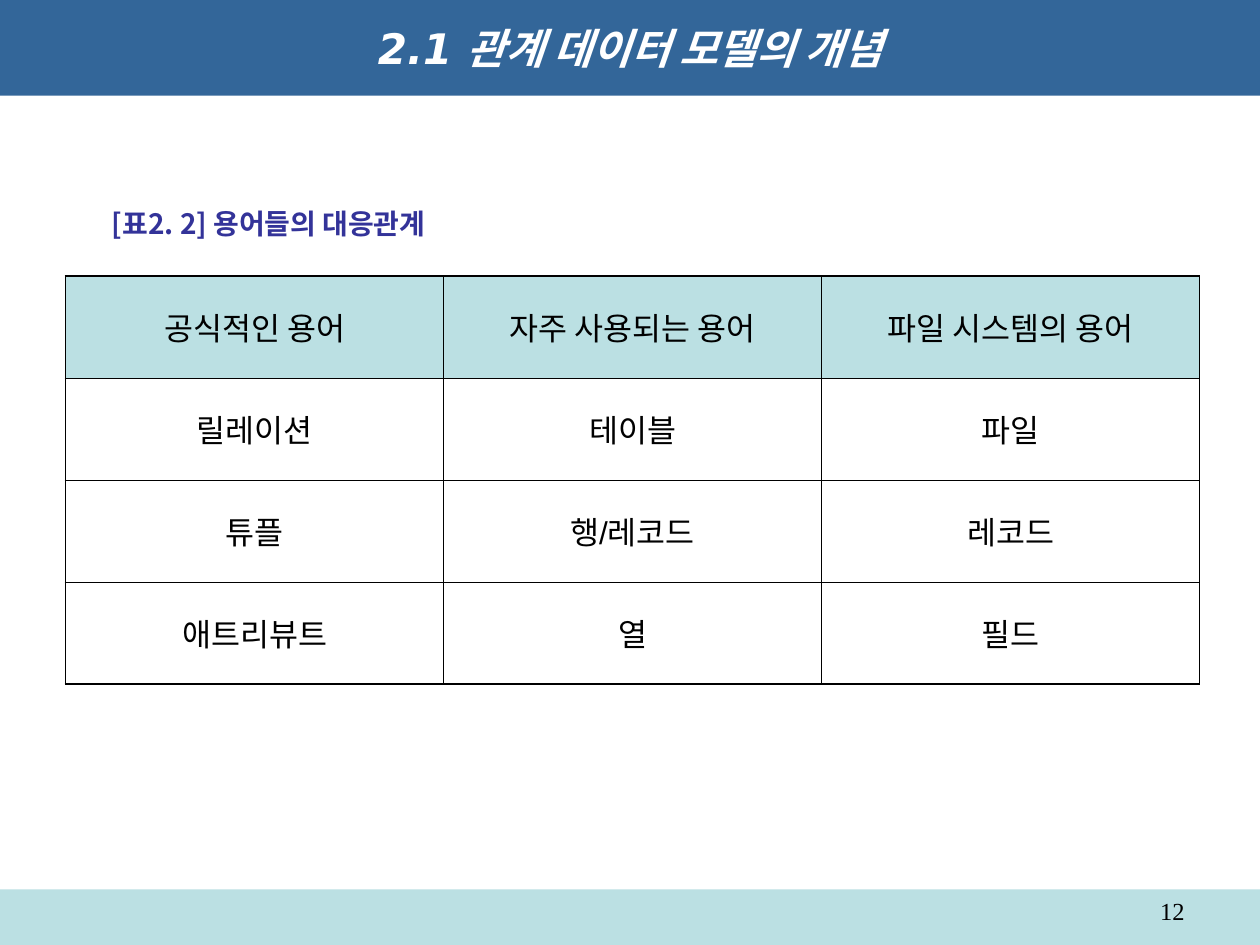
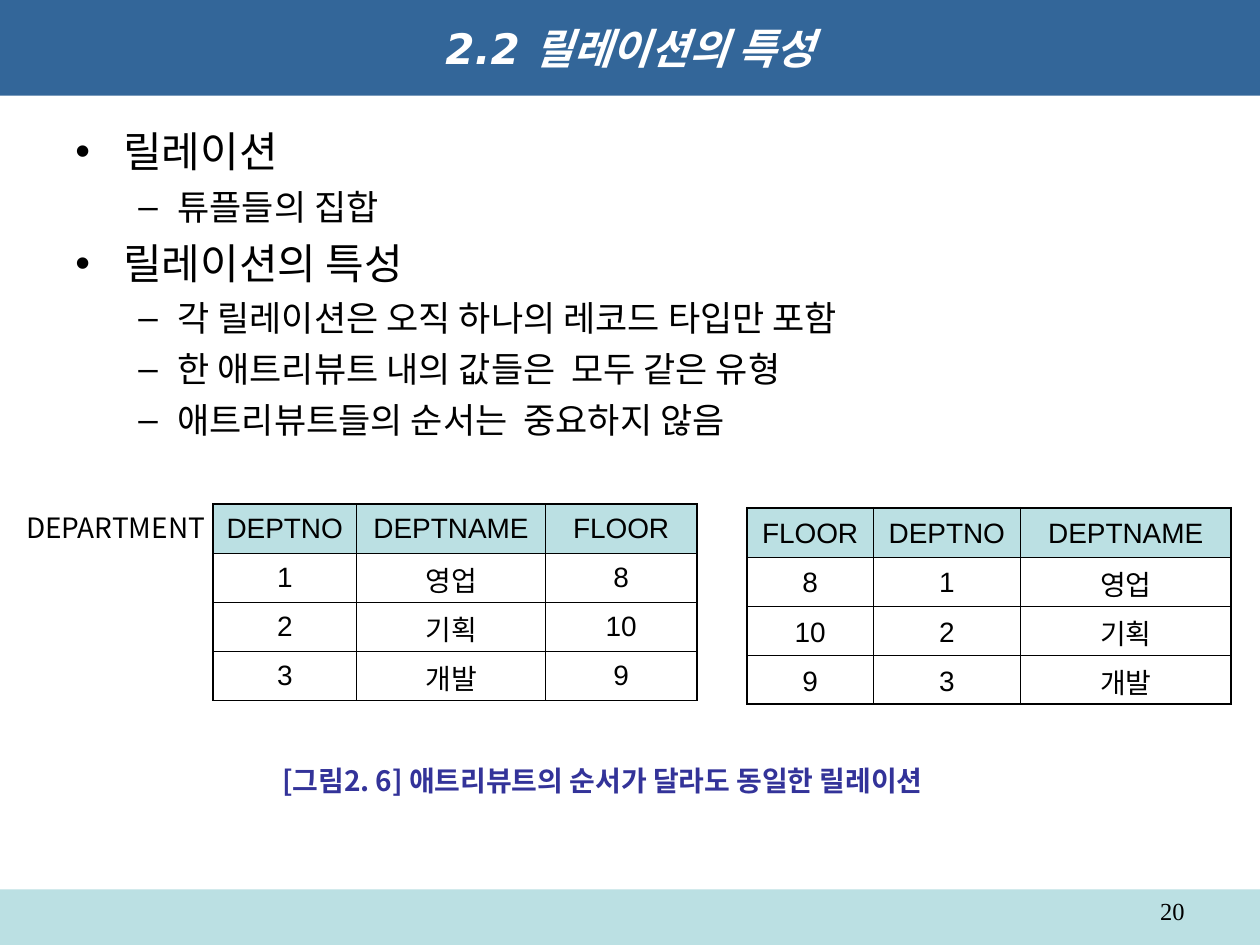
from lxml.etree import SubElement
from pptx import Presentation
from pptx.dml.color import RGBColor
from pptx.enum.shapes import MSO_SHAPE
from pptx.enum.text import MSO_ANCHOR, PP_ALIGN
from pptx.oxml.ns import qn
from pptx.util import Inches, Pt

HUES = {"band": "336699", "tint": "BBE0E3", "note": "333399",
        "ink": "000000", "page": "FFFFFF"}
WIDE, HIGH = 10, 7.5
HANGUL = "Noto Sans CJK KR"
THICK, THIN = 1.08, 0.45


def hue(name):
    return RGBColor.from_string(HUES[name])


def place(box):
    return [Inches(n) for n in box]


def paint(shape, name):
    shape.fill.solid()
    shape.fill.fore_color.rgb = hue(name)


def style(para, size, face="Arial", tone="ink", bold=False, slant=False):
    for run in para.runs:
        font = run.font
        font.size, font.name = Pt(size), face
        font.bold, font.italic = bold, slant
        font.color.rgb = hue(tone)
        SubElement(font._element, qn("a:ea"), typeface=HANGUL)


def label(slide, box, text, size, face, tone="ink", bold=False,
          align=PP_ALIGN.LEFT, wrap=True):
    frame = slide.shapes.add_textbox(*place(box)).text_frame
    frame.word_wrap = wrap
    frame.text = text
    para = frame.paragraphs[0]
    para.alignment = align
    style(para, size, face, tone, bold)


def caption(slide, box, text):
    label(slide, box, text, 16, HANGUL, "note", True, PP_ALIGN.JUSTIFY)


# Title band, footer band and page number
def start(deck, title, page):
    slide = deck.slides.add_slide(deck.slide_layouts[5])
    top = 7.06
    foot = slide.shapes.add_shape(MSO_SHAPE.RECTANGLE,
                                  *place((0, top, WIDE, HIGH - top)))
    foot.shadow.inherit = False
    paint(foot, "tint")
    foot.line.fill.background()
    label(slide, (7.17, top, 2.33, 0.29), page, 14, "Times New Roman",
          align=PP_ALIGN.RIGHT)

    head = slide.shapes.title
    head.left, head.top, head.width, head.height = place((0, 0, WIDE, 0.76))
    paint(head, "band")
    frame = head.text_frame
    frame.text = title
    frame.vertical_anchor = MSO_ANCHOR.MIDDLE
    para = frame.paragraphs[0]
    para.alignment = PP_ALIGN.CENTER
    style(para, 24, "DejaVu Sans", "page", True, True)
    return slide


def border(cell, side, width):
    line = SubElement(cell._tc.get_or_add_tcPr(), qn("a:" + side),
                      w=str(Pt(width)))
    fill = SubElement(line, qn("a:solidFill"))
    SubElement(fill, qn("a:srgbClr"), val=HUES["ink"])


# Ruled table with a tinted first row and a heavier outline
def grid(slide, left, top, cols, row, data, size, side=0.1, base=0.05):
    box = place((left, top, sum(cols), row * len(data)))
    table = slide.shapes.add_table(len(data), len(cols), *box).table
    table.first_row = table.horz_banding = False
    for col, width in zip(table.columns, cols):
        col.width = Inches(width)
    for r, words in enumerate(data):
        table.rows[r].height = Inches(row)
        for c, word in enumerate(words):
            cell = table.cell(r, c)
            cell.text = word
            cell.vertical_anchor = MSO_ANCHOR.MIDDLE
            cell.margin_left = cell.margin_right = Inches(side)
            cell.margin_top, cell.margin_bottom = Inches(0.05), Inches(base)
            para = cell.text_frame.paragraphs[0]
            para.alignment = PP_ALIGN.CENTER
            style(para, size)
            edges = {"lnL": c == 0, "lnR": c == len(cols) - 1,
                     "lnT": r == 0, "lnB": r == len(data) - 1}
            for edge, outer in edges.items():
                border(cell, edge, THICK if outer else THIN)
            if r == 0:
                paint(cell, "tint")
            else:
                cell.fill.background()


# Two-level bullet list: (level, text) pairs
def bullets(slide, box, items):
    looks = [("•", 0.38, 0.38, 24, 6), ("–", 0.81, 0.31, 20, 5)]
    frame = slide.shapes.add_textbox(*place(box)).text_frame
    frame.word_wrap = True
    for n, (level, text) in enumerate(items):
        mark, indent, hang, size, gap = looks[level]
        para = frame.add_paragraph() if n else frame.paragraphs[0]
        para.text = text
        para.level = level
        para.space_before = Pt(gap if n else 0)
        props = para._p.get_or_add_pPr()
        props.set("marL", str(Inches(indent)))
        props.set("indent", str(-Inches(hang)))
        SubElement(props, qn("a:buFont"), typeface="Arial")
        SubElement(props, qn("a:buChar"), char=mark)
        style(para, size)


def terms(deck):
    slide = start(deck, "2.1 관계 데이터 모델의 개념", "12")
    grid(slide, 0.52, 2.19, [3] * 3, 0.81, [
        ("공식적인 용어", "자주 사용되는 용어", "파일 시스템의 용어"),
        ("릴레이션", "테이블", "파일"),
        ("튜플", "행/레코드", "레코드"),
        ("애트리뷰트", "열", "필드")], 18, side=0.16)
    caption(slide, (0.79, 1.59, 3.15, 0.37), "[표2. 2] 용어들의 대응관계")


def traits(deck):
    slide = start(deck, "2.2 릴레이션의 특성", "20")
    bullets(slide, (0.5, 0.95, 9, 2.8), [
        (0, "릴레이션"),
        (1, "튜플들의 집합"),
        (0, "릴레이션의 특성"),
        (1, "각 릴레이션은 오직 하나의 레코드 타입만 포함"),
        (1, "한 애트리뷰트 내의 값들은  모두 같은 유형"),
        (1, "애트리뷰트들의 순서는  중요하지 않음")])

    # The same relation with its columns in two orders
    depts = [("DEPTNO", "DEPTNAME", "FLOOR"), ("1", "영업", "8"),
             ("2", "기획", "10"), ("3", "개발", "9")]
    moved = [(floor, no, name) for no, name, floor in depts]
    grid(slide, 1.69, 4, [1.14, 1.5, 1.2], 0.39, depts, 16)
    label(slide, (0.11, 4, 1.64, 0.37), "DEPARTMENT", 16,
          "Noto Sans CJK JP", wrap=False)
    grid(slide, 5.93, 4.03, [1, 1.17, 1.67], 0.39, moved, 16, base=0.02)
    caption(slide, (2.14, 6.01, 6.31, 0.37),
            "[그림2. 6] 애트리뷰트의 순서가 달라도 동일한 릴레이션")


def main():
    deck = Presentation()
    deck.slide_width, deck.slide_height = Inches(WIDE), Inches(HIGH)
    terms(deck)
    traits(deck)
    deck.save("out.pptx")


if __name__ == "__main__":
    main()
